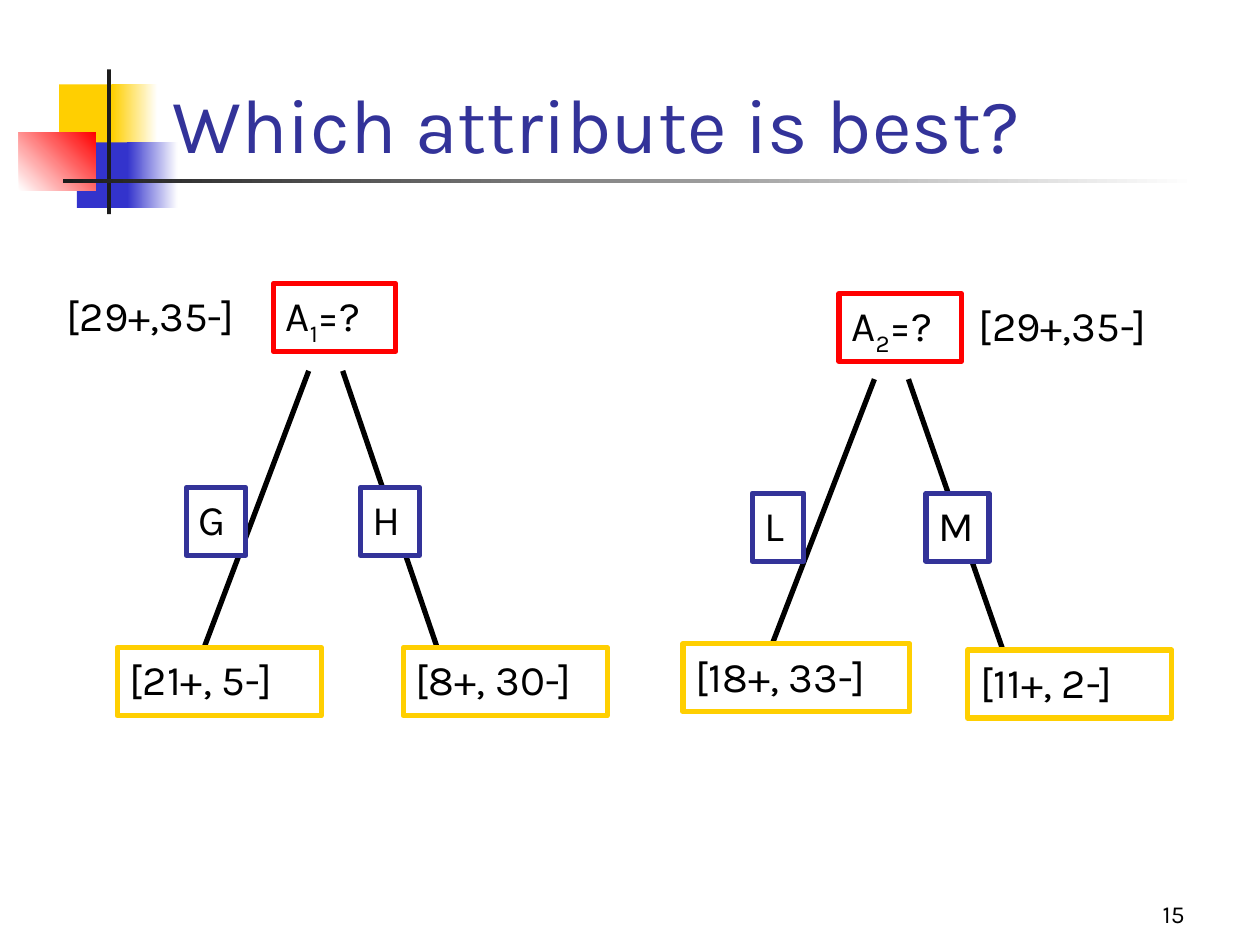
from lxml.etree import SubElement
from pptx import Presentation
from pptx.dml.color import RGBColor
from pptx.enum.shapes import MSO_CONNECTOR, MSO_SHAPE
from pptx.enum.text import MSO_ANCHOR, MSO_AUTO_SIZE, PP_ALIGN
from pptx.oxml.ns import qn
from pptx.util import Inches, Pt

FONT = "Karla"
BLACK, WHITE, DARK = "000000", "FFFFFF", "1C1C1C"
YELLOW, BLUE, RED, NAVY = "FFCF01", "3333CC", "FF0000", "333399"
BOX_H = 0.54


def rgb(color):
    """Return the colour for a hex string."""
    return RGBColor.from_string(color)


def style(p, size, color=BLACK):
    """Set the font of a paragraph."""
    p.font.name, p.font.size = FONT, Pt(size)
    p.font.color.rgb = rgb(color)


def add_rect(slide, box, fill, end=None, angle=0):
    """Add a rectangle without outline, with a gradient when end is given."""
    sp = slide.shapes.add_shape(MSO_SHAPE.RECTANGLE, *map(Inches, box))
    sp.shadow.inherit = False
    sp.line.fill.background()
    if end:
        sp.fill.gradient()
        sp.fill.gradient_angle = angle
        for stop, position, color in zip(sp.fill.gradient_stops, (0, 1), (fill, end)):
            stop.position, stop.color.rgb = position, rgb(color)
    else:
        sp.fill.solid()
        sp.fill.fore_color.rgb = rgb(fill)
    return sp


def add_text(sp, parts):
    """Write text in a shape, every second part as a subscript."""
    tf = sp.text_frame
    tf.word_wrap, tf.auto_size = False, MSO_AUTO_SIZE.SHAPE_TO_FIT_TEXT
    tf.vertical_anchor = MSO_ANCHOR.TOP
    p = tf.paragraphs[0]
    p.alignment = PP_ALIGN.LEFT
    style(p, 24)
    for i, part in enumerate(parts):
        r = p.add_run()
        r.text = part
        if i % 2:
            r.font._element.set("baseline", "-25000")


def add_node(slide, left, top, width, color, *parts):
    """Add a white tree node with a coloured outline."""
    sp = add_rect(slide, (left, top, width, BOX_H), WHITE)
    sp.line.color.rgb, sp.line.width = rgb(color), Pt(3)
    add_text(sp, parts)


def add_branch(slide, *ends):
    """Add a straight tree branch."""
    line = slide.shapes.add_connector(MSO_CONNECTOR.STRAIGHT, *map(Inches, ends))
    line.line.color.rgb, line.line.width = rgb(BLACK), Pt(3)
    SubElement(line._element.spPr, qn("a:effectLst"))


def add_tree(slide, box, index, labels, leaves, count_left, lift=0):
    """Draw the split on one attribute inside the box."""
    left, top, width, height = box
    root, drop = left + 1.24, height - BOX_H
    for start, end in ((0.28, -0.55), (0.55, 1.3)):
        add_branch(slide, root + start, top + 0.24 * drop, root + end, top + drop)
    add_node(slide, root, top, 0.97, RED, "A", index, "=?")
    for offset, (text, label_w) in zip((-0.69, 0.69), labels):
        add_node(slide, root + offset, top + 0.56 * drop, label_w, NAVY, text)
    (first, first_w), (second, second_w) = leaves
    add_node(slide, left, top + drop - lift, first_w, YELLOW, first)
    add_node(slide, left + width - second_w, top + drop, second_w, YELLOW, second)
    count = slide.shapes.add_textbox(*map(Inches, (count_left, top, 1.65, 0.5)))
    add_text(count, ["[29+,35-]"])


def add_decoration(slide):
    """Draw the coloured blocks and rules around the title."""
    add_rect(slide, (0.47, 0.67, 0.48, 0.52), YELLOW)
    add_rect(slide, (0.89, 0.67, 0.36, 0.52), YELLOW, WHITE)
    add_rect(slide, (0.61, 1.13, 0.46, 0.52), BLUE)
    add_rect(slide, (1.01, 1.13, 0.4, 0.52), BLUE, WHITE)
    add_rect(slide, (0.15, 1.05, 0.61, 0.46), WHITE, RED, 45)
    add_rect(slide, (0.85, 0.55, 0.03, 1.15), DARK)
    add_rect(slide, (0.5, 1.42, 9, 0.03), DARK, WHITE)


def add_title(slide, box, text):
    """Place and format the title."""
    title = slide.shapes.title
    title.left, title.top, title.width, title.height = map(Inches, box)
    tf = title.text_frame
    tf.text, tf.vertical_anchor = text, MSO_ANCHOR.BOTTOM
    tf.word_wrap, tf.auto_size = True, MSO_AUTO_SIZE.NONE
    tf.paragraphs[0].alignment = PP_ALIGN.LEFT
    style(tf.paragraphs[0], 44, NAVY)


def add_number(slide, box, text):
    """Add the slide number."""
    tf = slide.shapes.add_textbox(*map(Inches, box)).text_frame
    tf.text, tf.word_wrap, tf.vertical_anchor = text, True, MSO_ANCHOR.BOTTOM
    tf.paragraphs[0].alignment = PP_ALIGN.RIGHT
    style(tf.paragraphs[0], 14)


def main():
    """Build and save the slide."""
    prs = Presentation()
    prs.slide_width, prs.slide_height = Inches(10), Inches(7.5)
    slide = prs.slides.add_slide(prs.slide_layouts[5])
    add_decoration(slide)
    add_number(slide, (7.42, 6.92, 2.08, 0.5), "15")
    add_tree(slide, (0.93, 2.25, 3.89, 3.43), "1", (("G", 0.47), ("H", 0.47)),
             (("[21+, 5-]", 1.62), ("[8+, 30-]", 1.62)), 0.43)
    add_tree(slide, (5.42, 2.33, 3.88, 3.37), "2", (("L", 0.41), ("M", 0.5)),
             (("[18+, 33-]", 1.8), ("[11+, 2-]", 1.62)), 7.67, lift=0.05)
    add_title(slide, (1.27, 0.14, 8.52, 1.25), "Which attribute is best?")
    prs.save("out.pptx")


if __name__ == "__main__":
    main()
